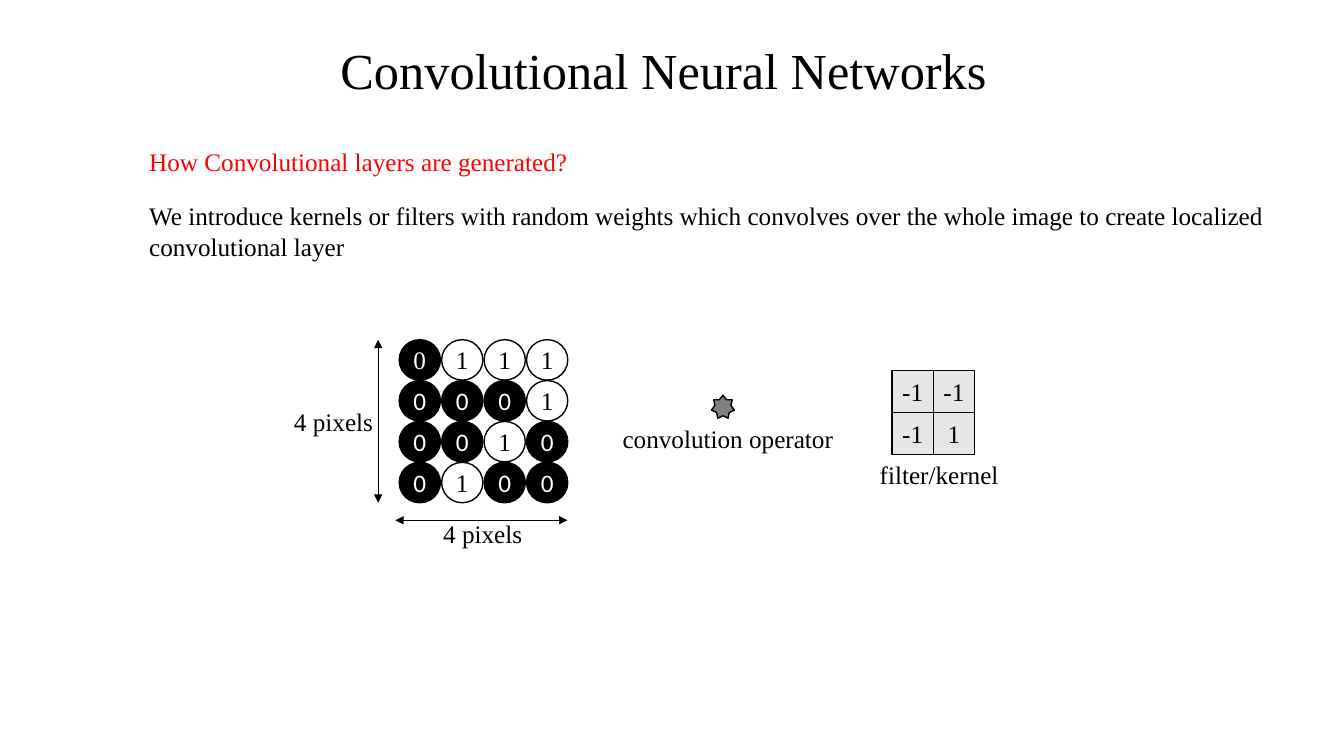
from dataclasses import dataclass

from lxml.etree import SubElement
from pptx import Presentation
from pptx.dml.color import RGBColor
from pptx.enum.shapes import MSO_CONNECTOR as Connector, MSO_SHAPE as Preset
from pptx.enum.text import MSO_ANCHOR as Anchor, MSO_AUTO_SIZE as AutoSize, PP_ALIGN as Align
from pptx.oxml.ns import qn
from pptx.util import Cm, Pt


@dataclass(frozen=True)
class Theme:
    serif: str = "Times New Roman"
    sans: str = "Calibri"
    black: str = "000000"
    white: str = "FFFFFF"
    red: str = "FF0000"
    light: str = "E7E6E6"
    grey: str = "808080"
    title: int = 36
    body: int = 18
    outline: float = 1
    hairline: float = 0.5


THEME = Theme()

TITLE = ("Convolutional Neural Networks", (8.33, 0.79, 17.22, 2.11))
LABELS = [
    ("How Convolutional layers are generated?", (3.51, 3.56, 11.18, 1.02), THEME.red),
    ("We introduce kernels or filters with random weights which convolves over the whole image "
     "to create localized\nconvolutional layer", (3.51, 4.93, 29.06, 1.8), THEME.black),
    ("4 pixels", (7.16, 10.11, 2.54, 1.02), THEME.black),
    ("4 pixels", (10.92, 12.93, 2.54, 1.02), THEME.black),
    ("convolution operator", (15.44, 10.54, 5.87, 1.02), THEME.black),
    ("filter/kernel", (21.92, 11.46, 3.53, 1.02), THEME.black),
]
IMAGE = [
    [0, 1, 1, 1],
    [0, 0, 0, 1],
    [0, 0, 1, 0],
    [0, 1, 0, 0],
]
KERNEL = [
    [-1, -1],
    [-1, 1],
]
IMAGE_LEFT, IMAGE_TOP = 10.06, 8.56
COLUMN_STEP, ROW_STEP = 1.07, 1.03
PIXEL_WIDTH, PIXEL_HEIGHT = 1.04, 1.02
KERNEL_LEFT, KERNEL_TOP, KERNEL_WIDTH, KERNEL_HEIGHT = 22.48, 9.33, 2.08, 2.12
OPERATOR = (17.93, 9.96, 0.58, 0.58)
HEIGHT_ARROW = (9.53, 8.56, 9.53, 12.67)
WIDTH_ARROW = (14.3, 13.11, 9.96, 13.11)

presentation = Presentation()
presentation.slide_width, presentation.slide_height = Cm(33.87), Cm(19.05)
slide = presentation.slides.add_slide(presentation.slide_layouts[6])


def write(shape, text, font=THEME.serif, size=THEME.body, color=THEME.black,
          align=Align.LEFT, anchor=Anchor.TOP, spacing=None, wrap=False, inset=None):
    frame = shape.text_frame
    frame.text = text
    frame.word_wrap = wrap
    frame.vertical_anchor = anchor
    if inset is not None:
        frame.margin_left = frame.margin_right = Cm(inset)
        frame.margin_top = frame.margin_bottom = Cm(inset)
    for paragraph in frame.paragraphs:
        paragraph.alignment = align
        paragraph.line_spacing = spacing
        paragraph.font.name = font
        paragraph.font.size = Pt(size)
        paragraph.font.color.rgb = RGBColor.from_string(color)


def add_text(box, text, **style):
    shape = slide.shapes.add_textbox(*map(Cm, box))
    write(shape, text, **style)
    return shape


def add_preset(preset, box, fill):
    shape = slide.shapes.add_shape(preset, *map(Cm, box))
    shape.shadow.inherit = False
    shape.fill.solid()
    shape.fill.fore_color.rgb = RGBColor.from_string(fill)
    shape.line.color.rgb = RGBColor.from_string(THEME.black)
    shape.line.width = Pt(THEME.outline)
    return shape


def add_line(ends=(0, 0, 0, 0), arrows=False):
    line = slide.shapes.add_connector(Connector.STRAIGHT, *map(Cm, ends))
    line.line.color.rgb = RGBColor.from_string(THEME.black)
    line.line.width = Pt(THEME.hairline)
    if arrows:
        for tag in ("a:headEnd", "a:tailEnd"):
            SubElement(line.line._get_or_add_ln(), qn(tag), type="triangle")
    SubElement(line._element.spPr, qn("a:effectLst"))
    return line


title_text, title_box = TITLE
add_text(title_box, title_text, size=THEME.title, anchor=Anchor.MIDDLE, spacing=0.9, wrap=True)

for text, box, color in LABELS:
    label = add_text(box, text, color=color)
    label.text_frame.auto_size = AutoSize.SHAPE_TO_FIT_TEXT

for row, values in enumerate(IMAGE):
    for column, value in enumerate(values):
        box = (IMAGE_LEFT + column * COLUMN_STEP, IMAGE_TOP + row * ROW_STEP,
               PIXEL_WIDTH, PIXEL_HEIGHT)
        pixel = add_preset(Preset.OVAL, box, THEME.white if value else THEME.black)
        serif = value or row == column == 0
        write(pixel, str(value), font=THEME.serif if serif else THEME.sans,
              color=THEME.black if value else THEME.white,
              align=Align.CENTER, anchor=Anchor.MIDDLE, inset=0)

for arrow in (HEIGHT_ARROW, WIDTH_ARROW):
    add_line(arrow, arrows=True)

add_preset(Preset.STAR_7_POINT, OPERATOR, THEME.grey)

kernel = add_preset(Preset.RECTANGLE, (KERNEL_LEFT, KERNEL_TOP, KERNEL_WIDTH, KERNEL_HEIGHT), THEME.light)
for first_side, last_side in ((0, 2), (1, 3)):
    divider = add_line()
    divider.begin_connect(kernel, first_side)
    divider.end_connect(kernel, last_side)

cell_width, cell_height = KERNEL_WIDTH / len(KERNEL[0]), KERNEL_HEIGHT / len(KERNEL)
for row, values in enumerate(KERNEL):
    for column, value in enumerate(values):
        box = (KERNEL_LEFT + column * cell_width, KERNEL_TOP + row * cell_height,
               cell_width, cell_height)
        add_text(box, str(value), align=Align.CENTER, anchor=Anchor.MIDDLE, inset=0)

presentation.save("out.pptx")
